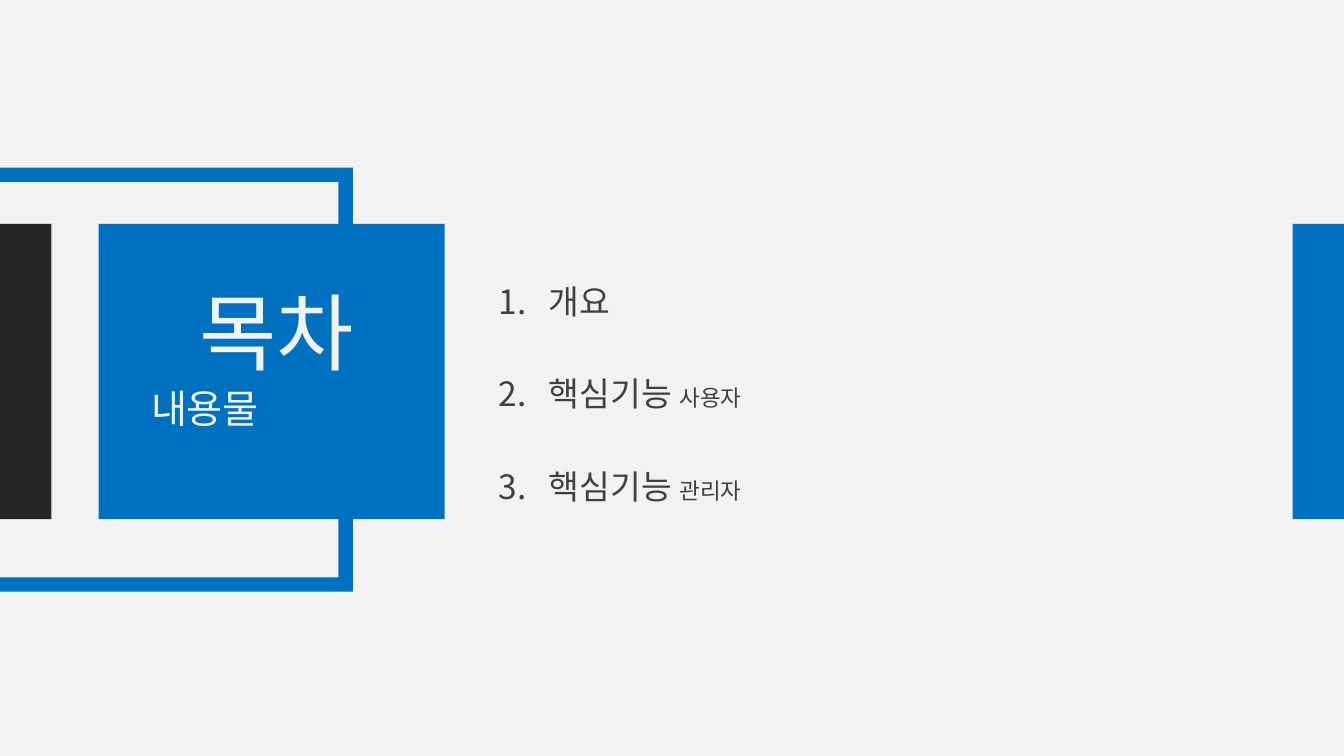
from lxml import etree
from pptx import Presentation, util as u
from pptx.dml.color import RGBColor
from pptx.enum import shapes, text
from pptx.oxml import ns

FACE = "Noto Sans CJK KR"
BLUE, DARK, PALE, GREY = "0070C0", "262626", "F2F2F2", "404040"


def paint(fill, tone):
    fill.solid()
    fill.fore_color.rgb = RGBColor.from_string(tone)


class Deck:
    """Holds the style and current slide; lengths are percent of the slide."""

    def __init__(self):
        self.prs = Presentation()
        self.prs.slide_width = u.Inches(13.333)
        self.prs.slide_height = u.Inches(7.5)
        self.slide = self.prs.slides.add_slide(self.prs.slide_layouts[5])
        paint(self.slide.background.fill, PALE)

    def area(self, x, y, w, h):
        wide, high = self.prs.slide_width, self.prs.slide_height
        return [int(part * full / 100)
                for part, full in zip((x, y, w, h), (wide, high) * 2)]

    def block(self, kind, box, tone):
        shape = self.slide.shapes.add_shape(kind, *self.area(*box))
        shape.shadow.inherit = False
        paint(shape.fill, tone)
        shape.line.fill.background()
        return shape

    def style(self, para, size, tone):
        font = para.font
        font.name, font.size = FACE, u.Pt(size)
        paint(font.fill, tone)
        east = etree.SubElement(font._element, ns.qn("a:ea"))
        east.set("typeface", FACE)

    def frame(self, shape, anchor):
        body = shape.text_frame
        body.word_wrap = True
        body.auto_size = text.MSO_AUTO_SIZE.NONE
        body.vertical_anchor = anchor
        return body

    def line(self, shape, words, size):
        body = self.frame(shape, text.MSO_ANCHOR.MIDDLE)
        body.text = words
        para = body.paragraphs[0]
        para.alignment = text.PP_ALIGN.JUSTIFY
        self.style(para, size, PALE)

    def title(self, box, words, size):
        shape = self.slide.shapes.title
        shape.left, shape.top, shape.width, shape.height = self.area(*box)
        self.slide.shapes._spTree.append(shape._element)
        self.line(shape, words, size)

    def label(self, box, words, size):
        shape = self.slide.shapes.add_textbox(*self.area(*box))
        self.line(shape, words, size)

    def steps(self, box, items, size, small):
        shape = self.slide.shapes.add_textbox(*self.area(*box))
        body = self.frame(shape, text.MSO_ANCHOR.TOP)
        for i, (head, note) in enumerate(items):
            para = body.add_paragraph() if i else body.paragraphs[0]
            para.line_spacing = 2.3
            props = para._p.get_or_add_pPr()
            props.set("marL", str(u.Inches(0.5)))
            props.set("indent", str(-u.Inches(0.5)))
            mark = etree.SubElement(props, ns.qn("a:buAutoNum"))
            mark.set("type", "arabicPeriod")
            self.style(para, size, GREY)
            para.add_run().text = head
            if note:
                run = para.add_run()
                run.text = note
                run.font.size = u.Pt(small)


def main():
    deck = Deck()
    rect = shapes.MSO_SHAPE.RECTANGLE
    top, high, edge = 29.6, 39.07, 3.82
    ring = deck.block(shapes.MSO_SHAPE.FRAME, (-1.8, 22.16, 28.05, 56.1), BLUE)
    ring.adjustments[0] = 0.038
    for x, w, tone in ((7.35, 25.73, BLUE), (0, edge, DARK),
                       (100 - edge, edge, BLUE)):
        deck.block(rect, (x, top, w, high), tone)
    deck.title((14.1, 36.4, 15.9, 14.67), "목차", 60)
    deck.label((10.5, 50.15, 19.2, 7.6), "내용물", 28)
    items = (("개요", ""), ("핵심기능 ", "사용자"), ("핵심기능 ", "관리자"))
    deck.steps((36.35, top, 21.3, high), items, 23.9, 16.1)
    deck.prs.save("out.pptx")


if __name__ == "__main__":
    main()
